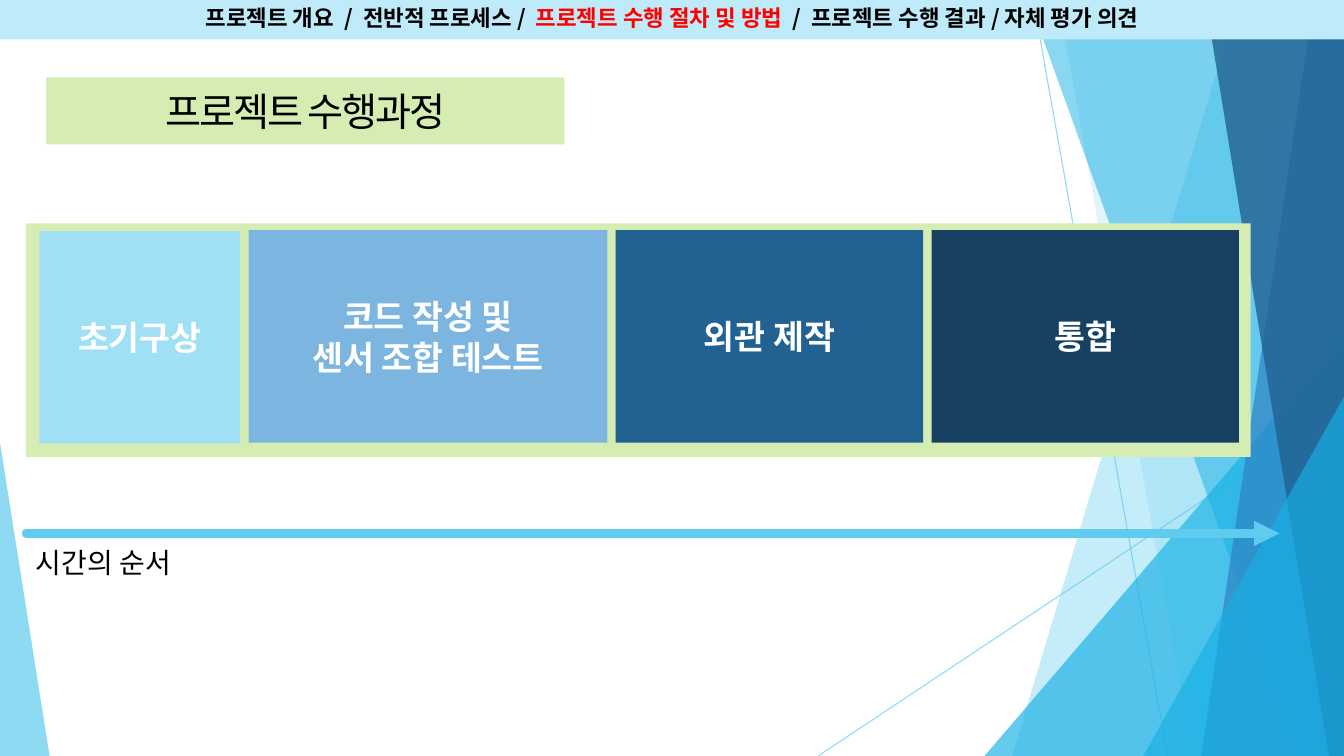
"""Build the project process slide."""
from lxml import etree
from pptx import Presentation
from pptx.dml.color import RGBColor
from pptx.enum.shapes import MSO_CONNECTOR, MSO_SHAPE
from pptx.enum.text import MSO_ANCHOR, PP_ALIGN
from pptx.oxml.ns import qn
from pptx.util import Inches, Pt

RECTANGLE = MSO_SHAPE.RECTANGLE
STRAIGHT = MSO_CONNECTOR.STRAIGHT
CENTER, LEFT = PP_ALIGN.CENTER, PP_ALIGN.LEFT
MIDDLE, TOP = MSO_ANCHOR.MIDDLE, MSO_ANCHOR.TOP

WIDTH, HEIGHT = Inches(13.33), Inches(7.5)
COLUMNS, ROWS = 16, 9
LATO, NOTO = "Lato", "Noto Sans CJK KR"
SKY, CYAN, BLUE, NAVY = "5FCBEF", "17B0E4", "2E83C3", "226292"
LIME, BLACK, WHITE, RED = "D5EDB3", "000000", "FFFFFF", "FF0000"

RAYS = [((12.3, 0), (13.9, 9)), ((16, 4.84), (9.74, 9))]
FACETS = [
    ([(14.74, 0), (16, 0), (16, 9), (12.05, 9)], SKY, 36),
    ([(12.6, 0), (16, 0), (16, 9), (14.2, 9)], SKY, 20),
    ([(16, 4), (16, 9), (11.72, 9)], CYAN, 66),
    ([(12.25, 0), (16, 0), (16, 9), (15.49, 9)], CYAN, 50),
    ([(15.64, 0), (16, 0), (16, 9), (14.3, 9)], BLUE, 70),
    ([(14.35, 0), (16, 0), (16, 9), (15.82, 9)], NAVY, 80),
    ([(16, 4.72), (16, 9), (13.61, 9)], CYAN, 66),
    ([(0, 5.27), (0.59, 9), (0, 9)], SKY, 70),
]
MENU = [
    ("프로젝트 개요  /  전반적 프로세스 /  ", BLACK),
    ("프로젝트 수행 절차 및 방법  ", RED),
    ("/  프로젝트 수행 결과 / 자체 평가 의견", BLACK),
]
STEPS = [
    (["초기구상"], 2.39, 2.75, "9FE0F5"),
    (["코드 작성 및", "센서 조합 테스트"], 4.27, 2.74, "7CB5E0"),
    (["외관 제작"], 3.66, 2.74, NAVY),
    (["통합"], 3.66, 2.74, "174162"),
]
STEP_GAP, STEP_HEIGHT = 0.1, 2.53


def color(value):
    """Turn a hex string into a colour."""
    return RGBColor.from_string(value)


def place(column, row):
    """Turn grid units into slide lengths."""
    return round(WIDTH * column / COLUMNS), round(HEIGHT * row / ROWS)


def set_alpha(shape, percent):
    """Make the only colour of a shape partly transparent."""
    fill = next(shape._element.spPr.iter(qn("a:srgbClr")))
    etree.SubElement(fill, qn("a:alpha"), val=str(percent * 1000))


def paint(shape, fill):
    """Give a shape a flat fill without line or shadow."""
    shape.shadow.inherit = False
    shape.fill.solid()
    shape.fill.fore_color.rgb = color(fill)
    shape.line.fill.background()


def add_facet(slide, points, fill, alpha):
    """Add one translucent polygon of the backdrop."""
    first, *others = [place(*point) for point in points]
    builder = slide.shapes.build_freeform(*first, scale=1.0)
    builder.add_line_segments(others, close=True)
    facet = builder.convert_to_shape()
    paint(facet, fill)
    set_alpha(facet, alpha)


def add_line(slide, start, end, width):
    """Add a straight sky-blue line without shadow."""
    line = slide.shapes.add_connector(STRAIGHT, *place(*start), *place(*end))
    line.line.color.rgb = color(SKY)
    line.line.width = Pt(width)
    etree.SubElement(line._element.spPr, qn("a:effectLst"))
    return line


def add_arrow(slide, start, end, width):
    """Add a round-capped line with an arrowhead at its end."""
    outline = add_line(slide, start, end, width).line._get_or_add_ln()
    outline.set("cap", "rnd")
    etree.SubElement(outline, qn("a:tailEnd"), type="triangle")


def add_box(slide, box, fill):
    """Add a flat rectangle given as column, row, width and height."""
    shape = slide.shapes.add_shape(RECTANGLE, *place(*box[:2]), *place(*box[2:]))
    paint(shape, fill)
    return shape


def write(shape, lines, size, font, bold=False, align=CENTER, anchor=MIDDLE, spacing=0):
    """Write lines, each a list of text and colour pairs, into a shape."""
    frame = shape.text_frame
    frame.word_wrap = True
    frame.vertical_anchor = anchor
    for index, parts in enumerate(lines):
        paragraph = frame.add_paragraph() if index else frame.paragraphs[0]
        paragraph.alignment = align
        for text, ink in parts:
            run = paragraph.add_run()
            run.text = text
            run.font.size, run.font.bold = Pt(size), bold
            run.font.color.rgb = color(ink)
            run.font.name = font
            properties = run._r.get_or_add_rPr()
            etree.SubElement(properties, qn("a:ea"), typeface=NOTO)
            if spacing:
                properties.set("spc", str(round(spacing * 100)))


def add_steps(slide):
    """Add the process steps from left to right with equal gaps."""
    column = 0.47
    for lines, width, row, fill in STEPS:
        step = add_box(slide, (column, row, width, STEP_HEIGHT), fill)
        write(step, [[(line, WHITE)] for line in lines], 24, LATO, bold=True)
        column += width + STEP_GAP


def main():
    """Build and save the slide."""
    presentation = Presentation()
    presentation.slide_width, presentation.slide_height = WIDTH, HEIGHT
    slide = presentation.slides.add_slide(presentation.slide_layouts[6])
    for start, end in RAYS:
        set_alpha(add_line(slide, start, end, 0.75), 70)
    for points, fill, alpha in FACETS:
        add_facet(slide, points, fill, alpha)

    menu = add_box(slide, (0, -0.04, COLUMNS, 0.51), "BFEAF9")
    write(menu, [MENU], 16, NOTO, bold=True)
    title = add_box(slide, (0.55, 0.92, 6.17, 0.8), LIME)
    write(title, [[("프로젝트 수행과정", BLACK)]], 28, NOTO, spacing=-1.5)

    add_box(slide, (0.31, 2.66, 14.58, 2.78), LIME)
    add_steps(slide)
    caption = slide.shapes.add_textbox(*place(0.31, 6.43), *place(9.41, 0.53))
    write(caption, [[("시간의 순서", BLACK)]], 20, LATO, align=LEFT, anchor=TOP)
    add_arrow(slide, (0.31, 6.35), (15.23, 6.35), 6)
    presentation.save("out.pptx")


if __name__ == "__main__":
    main()
